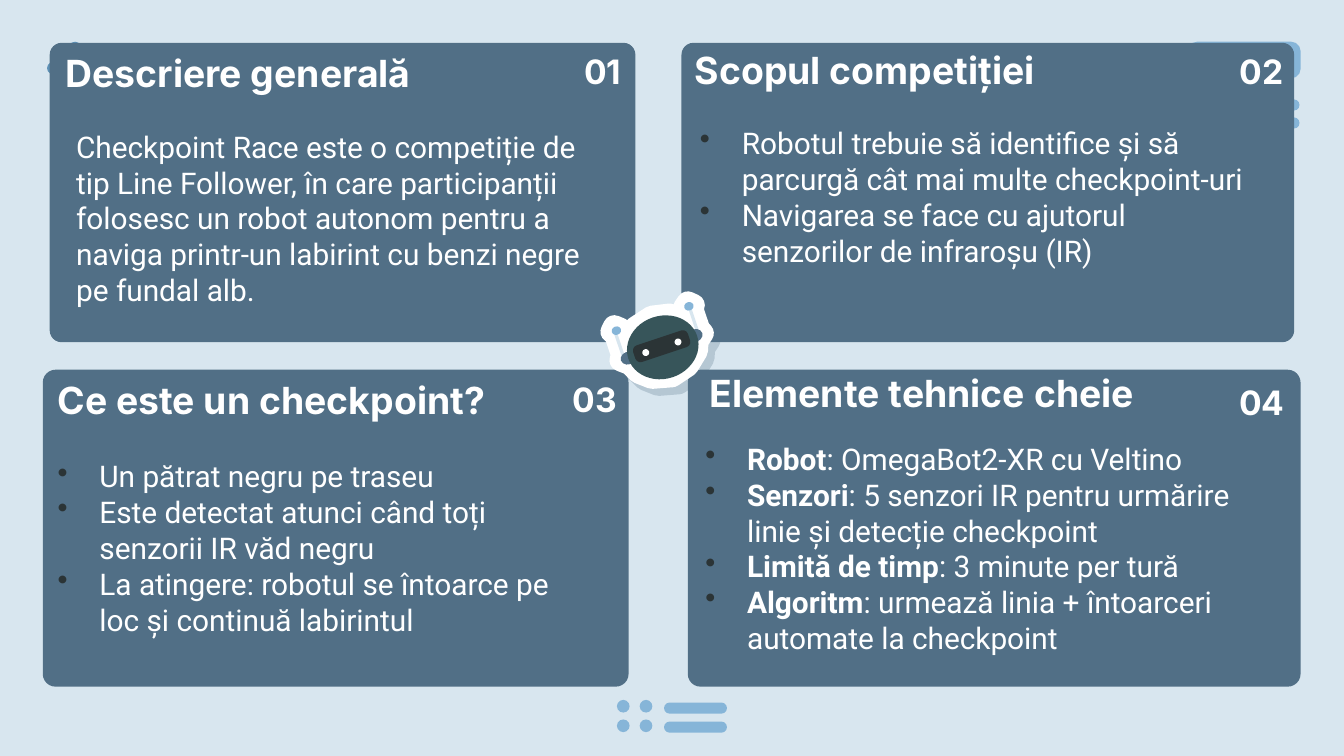
"""Build a slide of four numbered panels around a small robot."""
import pptx
import pptx.dml.color
import pptx.enum.shapes
import pptx.enum.text
import pptx.oxml
import pptx.oxml.ns
import pptx.util
from lxml import etree

Cm = pptx.util.Cm
Kind = pptx.enum.shapes.MSO_SHAPE
Anchor = pptx.enum.text.MSO_ANCHOR
Align = pptx.enum.text.PP_ALIGN
qn = pptx.oxml.ns.qn

WHITE, SLATE, SKY, PALE, DARK = "FFFFFF", "516F86", "86B5D8", "D8E6EF", "2B3436"
TILT = -18.5

PANELS = [
    {"number": "03", "panel": (0.81, 6.99, 11.07, 5.99),
     "title": "Ce este un checkpoint?", "title_at": (0.84, 6.76, 8.99, 1.47),
     "number_at": (9.83, 6.63, 2.08, 1.55), "body_at": (0.84, 8.41, 10.57, 3.51),
     "bullets": True,
     "body": ["Un pătrat negru pe traseu",
              "Este detectat atunci când toți senzorii IR văd negru",
              "La atingere: robotul se întoarce pe loc și continuă labirintul"]},
    {"number": "04", "panel": (13, 6.99, 11.58, 5.99),
     "title": "Elemente tehnice cheie", "title_at": (13.16, 6.63, 8.84, 1.47),
     "number_at": (22.45, 6.68, 2.08, 1.55), "body_at": (13.08, 8.08, 11.05, 3.89),
     "bullets": True,
     "body": [("Robot", ": OmegaBot2-XR cu Veltino"),
              ("Senzori", ": 5 senzori IR pentru urmărire linie și detecție checkpoint"),
              ("Limită de timp", ": 3 minute per tură"),
              ("Algoritm", ": urmează linia + întoarceri automate la checkpoint")]},
    {"number": "01", "panel": (0.94, 0.81, 11.07, 5.66),
     "title": "Descriere generală", "title_at": (0.99, 0.58, 7.57, 1.47),
     "number_at": (9.91, 0.43, 2.08, 1.55), "body_at": (1.19, 2.18, 10.52, 3.33),
     "bullets": False,
     "body": ["Checkpoint Race este o competiție de tip Line Follower, în care "
              "participanții folosesc un robot autonom pentru a naviga printr-un "
              "labirint cu benzi negre pe fundal alb."]},
    {"number": "02", "panel": (12.88, 0.81, 11.58, 5.66),
     "title": "Scopul competiției", "title_at": (12.88, 0.51, 7.67, 1.47),
     "number_at": (22.43, 0.43, 2.08, 1.55), "body_at": (12.98, 2.11, 11.15, 3.23),
     "bullets": True,
     "body": ["Robotul trebuie să identifice și să parcurgă cât mai multe checkpoint-uri",
              "Navigarea se face cu ajutorul senzorilor de infraroșu (IR)"]},
]

SILHOUETTE = [
    (11.61, 6.17), (11.56, 6.27), (11.63, 6.32), (11.76, 6.71), (11.73, 6.81),
    (11.91, 6.88), (12.07, 7.04), (12.32, 7.14), (12.7, 7.11), (13, 6.91),
    (13.17, 6.63), (13.18, 6.45), (13.28, 6.3), (13.21, 6.22), (13.08, 5.84),
    (13.11, 5.77), (13, 5.72), (12.93, 5.82), (13.03, 5.87), (13.13, 6.22),
    (12.95, 6.08), (12.65, 5.95), (12.32, 5.99), (12, 6.2), (11.84, 6.5),
    (11.81, 6.68), (11.68, 6.32), (11.73, 6.22)]

ROBOT_PARTS = [
    (Kind.ROUNDED_RECTANGLE, PALE, (0.06, 0.61), [(11.68, 6.22), (13.08, 5.74)]),
    (Kind.OVAL, SKY, (0.18, 0.16), [(11.56, 6.17), (12.93, 5.71)]),
    (Kind.OVAL, SLATE, (0.28, 0.24), [(11.73, 6.65), (13, 6.22)]),
    (Kind.OVAL, "37555A", (1.37, 1.19), [(11.84, 5.97)]),
    (Kind.ROUNDED_RECTANGLE, DARK, (1.09, 0.33), [(11.96, 6.38)]),
    (Kind.OVAL, WHITE, (0.13, 0.13), [(12.14, 6.6), (12.75, 6.4)])]


def color(value):
    """Turn a hex string into a colour."""
    return pptx.dml.color.RGBColor.from_string(value)


def paint(shape, fill):
    """Give a shape a flat fill without line or shadow."""
    shape.shadow.inherit = False
    shape.fill.solid()
    shape.fill.fore_color.rgb = color(fill)
    shape.line.fill.background()


def add_shape(page, kind, place, fill, corner=None, rotation=0):
    """Draw a flat preset shape."""
    shape = page.shapes.add_shape(kind, *map(Cm, place))
    paint(shape, fill)
    shape.rotation = rotation
    if corner is not None:
        shape.adjustments[0] = corner


def add_bullet(para):
    """Give a paragraph a hanging dark bullet."""
    props = para._p.get_or_add_pPr()
    props.set("marL", str(Cm(0.79)))
    props.set("indent", str(-Cm(0.79)))
    tint = etree.SubElement(props, qn("a:buClr"))
    etree.SubElement(tint, qn("a:srgbClr"), val=DARK)
    etree.SubElement(props, qn("a:buChar"), char="•")


def add_text(page, place, paragraphs, font="Inter", size=20, bold=False,
             align=Align.LEFT, anchor=Anchor.BOTTOM, bullets=False):
    """Write paragraphs; a pair is a bold lead and its plain remainder."""
    frame = page.shapes.add_textbox(*map(Cm, place)).text_frame
    frame.word_wrap = True
    frame.vertical_anchor = anchor
    frame.margin_left = frame.margin_right = Cm(0.25)
    frame.margin_top = frame.margin_bottom = Cm(0.25)
    for index, content in enumerate(paragraphs):
        para = frame.add_paragraph() if index else frame.paragraphs[0]
        para.alignment = align
        if bullets:
            add_bullet(para)
        pieces = [(content, bold)]
        if isinstance(content, tuple):
            pieces = list(zip(content, (True, False)))
        for text, heavy in pieces:
            span = para.add_run()
            span.text = text
            span.font.name = font
            span.font.size = pptx.util.Pt(size)
            span.font.bold = heavy
            span.font.color.rgb = color(WHITE)


def add_ornaments(page):
    """Place the dots and bars at the edges of the page."""
    add_shape(page, Kind.ROUNDED_RECTANGLE, (22.45, 0.79, 2.13, 0.69), SKY, 0.25)
    for left, top in [(23.37, 1.88), (23.37, 2.22), (12.55, 13.28), (12.55, 13.64)]:
        add_shape(page, Kind.ROUNDED_RECTANGLE, (left, top, 1.19, 0.21), SKY, 0.5)
    dots = [(1.3, 0.79, "5D91B7"), (0.89, 1.17, "5D91B7")]
    dots += [(left, top, SKY) for left in (11.66, 12.09) for top in (13.23, 13.6)]
    for left, top, fill in dots:
        add_shape(page, Kind.OVAL, (left, top, 0.24, 0.24), fill)


def add_panel(page, info):
    """Write the title, body and number of one panel."""
    add_text(page, info["title_at"], [info["title"]], bold=True)
    add_text(page, info["body_at"], info["body"], font="Roboto", size=16,
             anchor=Anchor.TOP, bullets=info["bullets"])
    add_text(page, info["number_at"], [info["number"]], size=18, bold=True,
             align=Align.RIGHT)


def add_silhouette(page):
    """Draw the white robot outline with its offset shadow."""
    points = [(Cm(x), Cm(y)) for x, y in SILHOUETTE]
    builder = page.shapes.build_freeform(*points[0])
    builder.add_line_segments(points[1:], close=True)
    outline = builder.convert_to_shape()
    paint(outline, WHITE)
    outline.line.color.rgb = color(WHITE)
    outline.line.width = pptx.util.Pt(12)
    props = outline._element.spPr
    etree.SubElement(props.find(qn("a:ln")), qn("a:round"))
    shadow = etree.SubElement(
        props.find(qn("a:effectLst")), qn("a:outerShdw"), blurRad="0",
        dist=str(pptx.util.Pt(5.2)), dir=str(47 * 60000), algn="bl", rotWithShape="0")
    tint = etree.SubElement(shadow, qn("a:srgbClr"), val=SLATE)
    etree.SubElement(tint, qn("a:alpha"), val="26000")


def add_robot(page):
    """Draw the tilted robot head over its outline."""
    add_silhouette(page)
    for kind, fill, size, places in ROBOT_PARTS:
        corner = 0.3 if kind == Kind.ROUNDED_RECTANGLE else None
        for place in places:
            add_shape(page, kind, place + size, fill, corner, TILT)


def main():
    """Build and save the deck."""
    deck = pptx.Presentation()
    deck.slide_width, deck.slide_height = Cm(25.4), Cm(14.29)
    page = deck.slides.add_slide(deck.slide_layouts[6])
    page.background.fill.solid()
    page.background.fill.fore_color.rgb = color(PALE)
    add_ornaments(page)
    for info in PANELS:
        add_shape(page, Kind.ROUNDED_RECTANGLE, info["panel"], SLATE, 0.04)
    for info in PANELS:
        add_panel(page, info)
    add_robot(page)
    deck.save("out.pptx")


if __name__ == "__main__":
    main()
